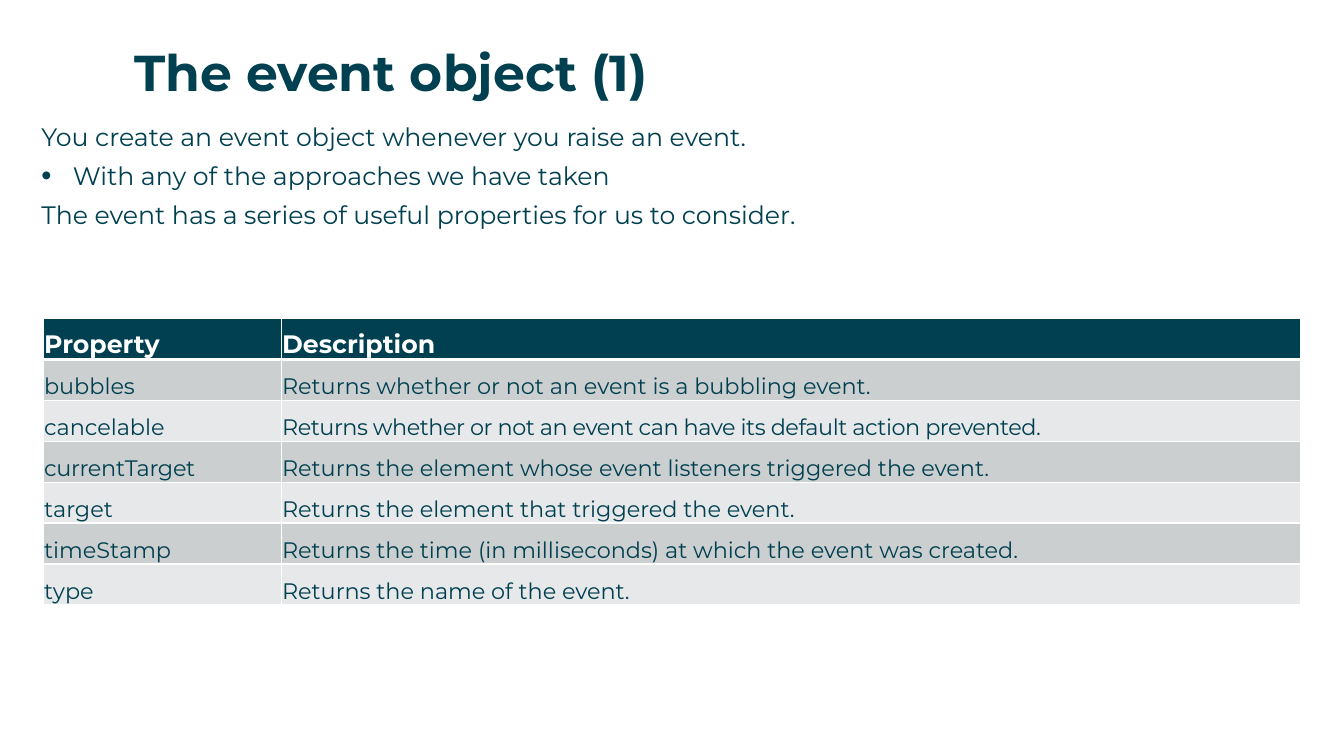
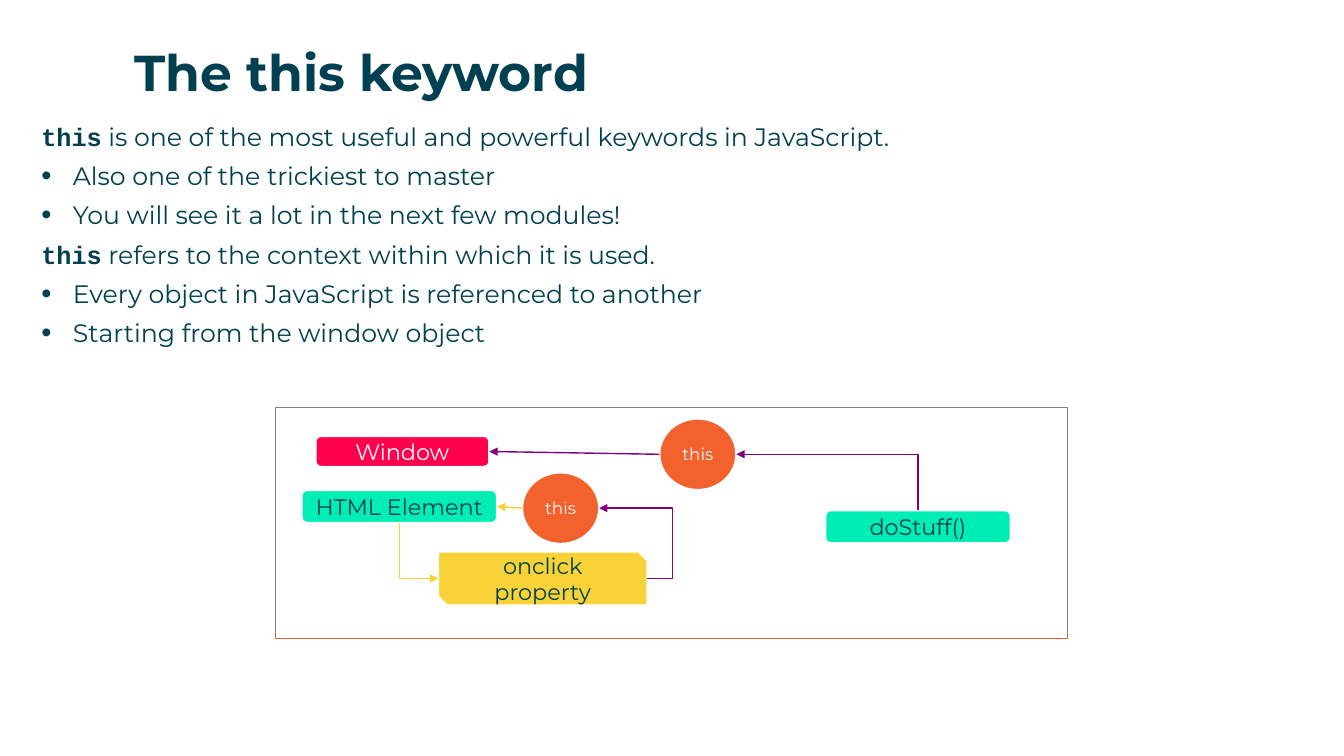
from lxml.etree import SubElement
from pptx import Presentation
from pptx.dml.color import RGBColor
from pptx.enum.shapes import MSO_CONNECTOR as LINK, MSO_SHAPE as SHAPE
from pptx.enum.text import MSO_ANCHOR as ANCHOR, MSO_AUTO_SIZE as AUTO, PP_ALIGN as ALIGN
from pptx.oxml.ns import qn
from pptx.util import Pt

TEAL = RGBColor(0x00, 0x40, 0x50)
WHITE = RGBColor(0xFF, 0xFF, 0xFF)
BAND_DARK = RGBColor(0xCC, 0xCF, 0xD0)
BAND_LIGHT = RGBColor(0xE7, 0xE8, 0xE9)
ORANGE = RGBColor(0xF3, 0x61, 0x2C)
RED = RGBColor(0xFF, 0x00, 0x4C)
MINT = RGBColor(0x00, 0xED, 0xB5)
YELLOW = RGBColor(0xF8, 0xD2, 0x37)
PURPLE = RGBColor(0x7F, 0x00, 0x7D)
GRAY = RGBColor(0x80, 0x80, 0x80)
TEXT_FONT, CODE_FONT = "Montserrat", "Courier New"


def add_run(para, text, size, color=TEAL, bold=False, font=TEXT_FONT):
    span = para.add_run()
    span.text = text
    span.font.name, span.font.size, span.font.bold = font, Pt(size), bold
    span.font.color.rgb = color
    return span


def place(box, left, top, width, height):
    box.left, box.top, box.width, box.height = Pt(left), Pt(top), Pt(width), Pt(height)
    frame = box.text_frame
    frame.margin_left = frame.margin_top = frame.margin_right = frame.margin_bottom = 0
    frame.auto_size, frame.word_wrap = AUTO.NONE, True
    frame.vertical_anchor = ANCHOR.TOP
    return frame


deck = Presentation()
deck.slide_width, deck.slide_height = Pt(960), Pt(540)

# Titles and lists: (is bullet, leading code word, text)
CONTENT = [
    ("The event object (1)", [
        (False, "", "You create an event object whenever you raise an event."),
        (True, "", "With any of the approaches we have taken"),
        (False, "", "The event has a series of useful properties for us to consider."),
    ]),
    ("The this keyword", [
        (False, "this", " is one of the most useful and powerful keywords in JavaScript."),
        (True, "", "Also one of the trickiest to master"),
        (True, "", "You will see it a lot in the next few modules!"),
        (False, "this", " refers to the context within which it is used."),
        (True, "", "Every object in JavaScript is referenced to another"),
        (True, "", "Starting from the window object"),
    ]),
]
pages = []
for title, lines in CONTENT:
    page = deck.slides.add_slide(deck.slide_layouts[1])
    pages.append(page)
    para = place(page.shapes.title, 96, 29.5, 834, 41).paragraphs[0]
    para.alignment = ALIGN.LEFT
    add_run(para, title, 36, bold=True)

    frame = place(page.placeholders[1], 29.5, 86.5, 900, 423)
    for number, (is_bullet, code, text) in enumerate(lines):
        para = frame.add_paragraph() if number else frame.paragraphs[0]
        para.space_before, para.space_after = Pt(0), Pt(6.5)
        props = para._p.get_or_add_pPr()
        indent = Pt(22.5) if is_bullet else 0
        props.set("marL", str(indent))
        props.set("indent", str(-indent))
        if is_bullet:
            SubElement(props, qn("a:buSzPct")).set("val", "115000")
            SubElement(props, qn("a:buChar")).set("char", "•")
        else:
            SubElement(props, qn("a:buNone"))
        if code:
            add_run(para, code, 18, bold=True, font=CODE_FONT)
        add_run(para, text, 18)
event_page, this_page = pages

# Table of event properties
ROWS = [
    ("Property", "Description"),
    ("bubbles", "Returns whether or not an event is a bubbling event."),
    ("cancelable", "Returns whether or not an event can have its default action prevented."),
    ("currentTarget", "Returns the element whose event listeners triggered the event."),
    ("target", "Returns the element that triggered the event."),
    ("timeStamp", "Returns the time (in milliseconds) at which the event was created."),
    ("type", "Returns the name of the event."),
]
SPACING = {(2, 1): "-30", (3, 0): "-20"}
table = event_page.shapes.add_table(len(ROWS), 2, Pt(31), Pt(227.5), Pt(898), Pt(204.75)).table
table.columns[0].width, table.columns[1].width = Pt(170), Pt(728)
for row, texts in enumerate(ROWS):
    is_header = row == 0
    for column, text in enumerate(texts):
        cell = table.cell(row, column)
        cell.margin_left = cell.margin_right = cell.margin_top = Pt(0.5)
        cell.margin_bottom = 0
        cell.vertical_anchor = ANCHOR.BOTTOM
        span = add_run(cell.text_frame.paragraphs[0], text, 18 if is_header else 16,
                       WHITE if is_header else TEAL, is_header)
        if (row, column) in SPACING:
            span.font._element.set("spc", SPACING[row, column])
        # Borders stand before the fill in the cell properties
        props = cell._tc.get_or_add_tcPr()
        for side in ("lnL", "lnR", "lnT", "lnB"):
            thick = (is_header and side == "lnB") or (row == 1 and side == "lnT")
            border = SubElement(props, qn("a:" + side), w=str(Pt(3 if thick else 1)))
            SubElement(SubElement(border, qn("a:solidFill")), qn("a:srgbClr"), val=str(WHITE))
        cell.fill.solid()
        cell.fill.fore_color.rgb = TEAL if is_header else (BAND_LIGHT, BAND_DARK)[row % 2]

# Diagram frame with an orange base line
border = this_page.shapes.add_shape(SHAPE.RECTANGLE, Pt(196.5), Pt(291), Pt(566), Pt(165))
border.shadow.inherit = False
border.fill.background()
border.line.color.rgb, border.line.width = GRAY, Pt(0.75)
base = this_page.shapes.add_connector(LINK.STRAIGHT, Pt(196.5), Pt(456), Pt(762.5), Pt(456))
base.line.color.rgb, base.line.width = ORANGE, Pt(1)
SubElement(base._element.spPr, qn("a:effectLst"))

# Diagram nodes
NODES = [
    ("window", "Window", SHAPE.ROUNDED_RECTANGLE, 225.5, 311.5, 124, 22, RED, WHITE, 16),
    ("element", "HTML Element", SHAPE.ROUNDED_RECTANGLE, 215.5, 350, 139.5, 23.5, MINT, TEAL, 16),
    ("property", "onclick property", SHAPE.SNIP_2_DIAG_RECTANGLE, 313, 394, 149.5, 38.5,
     YELLOW, TEAL, 16),
    ("lower this", "this", SHAPE.OVAL, 373, 337.5, 55, 51, ORANGE, WHITE, 12),
    ("function", "doStuff()", SHAPE.ROUNDED_RECTANGLE, 589.5, 364.5, 132.5, 23.5, MINT, TEAL, 16),
    ("upper this", "this", SHAPE.OVAL, 471, 299, 55, 51, ORANGE, WHITE, 12),
]
nodes, sides = {}, {}
for name, text, kind, left, top, width, height, fill, color, size in NODES:
    node = this_page.shapes.add_shape(kind, Pt(left), Pt(top), Pt(width), Pt(height))
    node.shadow.inherit = False
    node.fill.solid()
    node.fill.fore_color.rgb = fill
    node.line.color.rgb, node.line.width = WHITE, Pt(1.5)
    node.text_frame.word_wrap = True
    node.text_frame.vertical_anchor = ANCHOR.MIDDLE
    para = node.text_frame.paragraphs[0]
    para.alignment = ALIGN.CENTER
    add_run(para, text, size, color)
    nodes[name] = node
    middle_x, middle_y = left + width / 2, top + height / 2
    sides[name] = [(middle_x, top), (left, middle_y), (middle_x, top + height),
                   (left + width, middle_y)]

# Arrows between node sides (0 top, 1 left, 2 bottom, 3 right)
ARROWS = [
    ("element", 2, "property", 1, YELLOW, "corner"),
    ("property", 3, "lower this", 3, PURPLE, "loop"),
    ("lower this", 1, "element", 3, YELLOW, "straight"),
    ("function", 0, "upper this", 3, PURPLE, "corner"),
    ("upper this", 1, "window", 3, PURPLE, "straight"),
]
for source, source_side, target, target_side, color, route in ARROWS:
    (x1, y1), (x2, y2) = sides[source][source_side], sides[target][target_side]
    if route == "corner":
        # A quarter turn makes the elbow leave vertically
        middle_x, middle_y = (x1 + x2) / 2, (y1 + y2) / 2
        half_x, half_y = (x2 - x1) / 2, (y2 - y1) / 2
        x1, y1 = middle_x + half_y, middle_y - half_x
        x2, y2 = middle_x - half_y, middle_y + half_x
    arrow = this_page.shapes.add_connector(
        LINK.STRAIGHT if route == "straight" else LINK.ELBOW, Pt(x1), Pt(y1), Pt(x2), Pt(y2))
    arrow.line.color.rgb, arrow.line.width = color, Pt(1)
    props = arrow._element.spPr
    SubElement(props.find(qn("a:ln")), qn("a:tailEnd"), type="triangle")
    SubElement(props, qn("a:effectLst"))
    geometry = props.find(qn("a:prstGeom"))
    if route == "straight":
        arrow.end_connect(nodes[target], target_side)
    elif route == "corner":
        geometry.set("prst", "bentConnector2")
        props.find(qn("a:xfrm")).set("rot", "16200000")
    else:
        SubElement(geometry.find(qn("a:avLst")), qn("a:gd"), name="adj1", fmla="val -52500")

deck.save("out.pptx")
